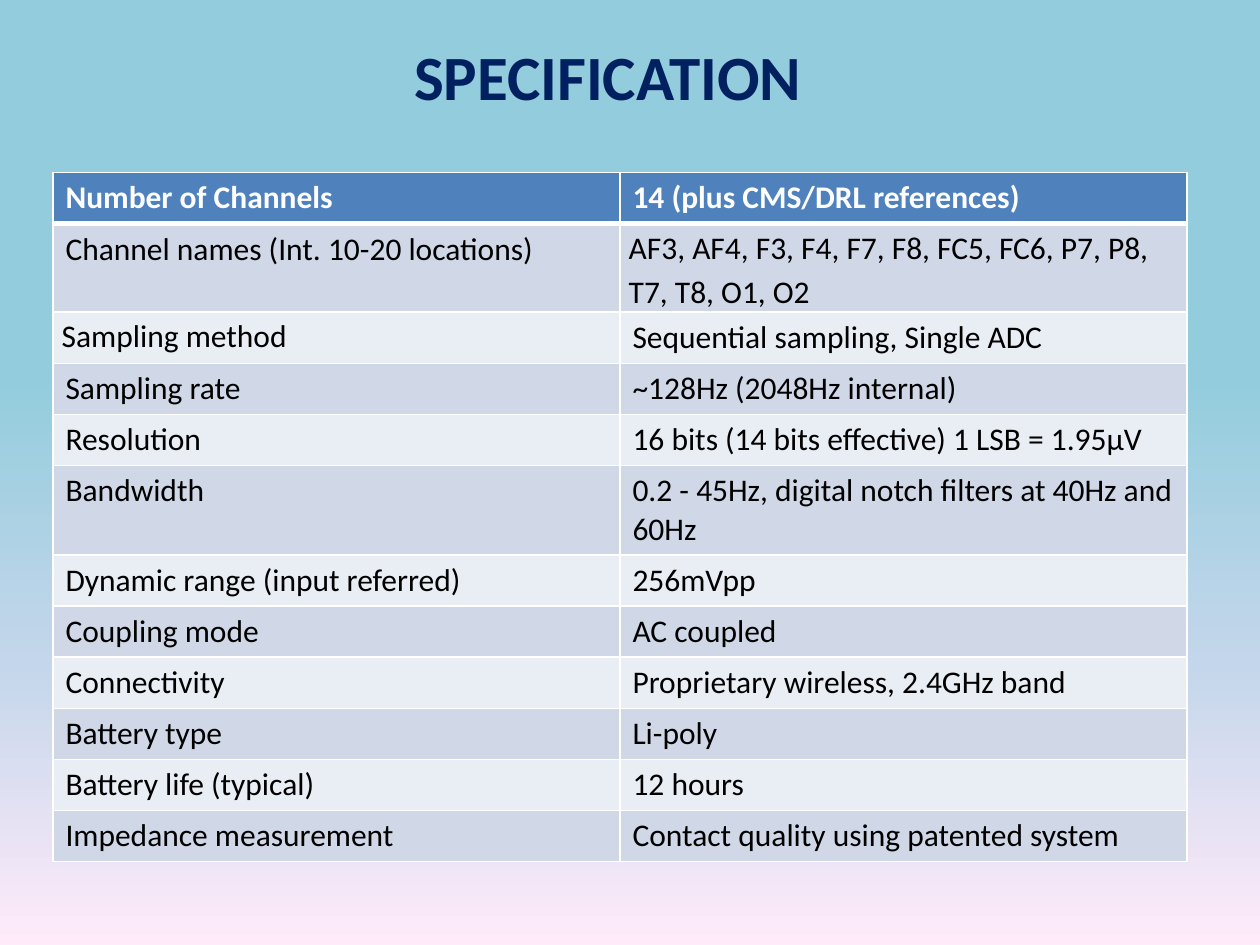
from dataclasses import dataclass
from typing import Any

from lxml.etree import SubElement
from pptx import Presentation
from pptx.dml.color import RGBColor as Rgb
from pptx.enum.text import MSO_AUTO_SIZE as AutoSize, PP_ALIGN as Align
from pptx.oxml.ns import qn
from pptx.util import Inches, Pt

COLORS = {
    "title": "002060",
    "header": "4F81BD",
    "band_dark": "D0D8E8",
    "band_light": "E9EDF4",
    "white": "FFFFFF",
    "black": "000000",
}
BACKGROUND_STOPS = [(40, "93CDDD"), (70, "C4D6EB"), (100, "FFEBFA")]

SPECIFICATIONS = [
    ("Number of Channels", "14 (plus CMS/DRL references)"),
    ("Channel names (Int. 10-20 locations)",
     "AF3, AF4, F3, F4, F7, F8, FC5, FC6, P7, P8, T7, T8, O1, O2"),
    ("Sampling method", "Sequential sampling, Single ADC"),
    ("Sampling rate", "~128Hz (2048Hz internal)"),
    ("Resolution", "16 bits (14 bits effective) 1 LSB = 1.95μV"),
    ("Bandwidth", "0.2 - 45Hz, digital notch filters at 40Hz and 60Hz"),
    ("Dynamic range (input referred)", "256mVpp"),
    ("Coupling mode", "AC coupled"),
    ("Connectivity", "Proprietary wireless, 2.4GHz band"),
    ("Battery type", "Li-poly"),
    ("Battery life (typical)", "12 hours"),
    ("Impedance measurement", "Contact quality using patented system"),
]
TIGHT_CELLS = {(1, 1), (2, 0)}
ROW_HEIGHT = 0.4
TALL_ROWS = {1: 0.7, 5: 0.71}


def write_text(frame, text, font="Calibri", size=18, color="black",
               bold=False, align=Align.LEFT, spacing=None):
    para = frame.paragraphs[0]
    para.alignment = align
    para.line_spacing = spacing
    span = para.add_run()
    span.text = text
    span.font.name = font
    span.font.size = Pt(size)
    span.font.bold = bold
    span.font.color.rgb = Rgb.from_string(COLORS[color])


def add_borders(cell, color, bottom_width):
    """Draw 1 pt edges, with a bottom edge of its own width."""
    properties = cell._tc.get_or_add_tcPr()
    widths = {"a:lnL": 1, "a:lnR": 1, "a:lnT": 1, "a:lnB": bottom_width}
    for index, (tag, width) in enumerate(widths.items()):
        line = SubElement(properties, qn(tag), w=str(Pt(width)))
        fill = SubElement(line, qn("a:solidFill"))
        SubElement(fill, qn("a:srgbClr"), val=COLORS[color])
        properties.insert(index, line)  # edges must come before the cell fill


@dataclass
class SlideBuilder:
    page: Any
    font: str = "Calibri"

    def gradient_background(self, stops):
        fill = self.page.background.fill
        fill.gradient()
        fill.gradient_angle = 270
        stop_list = next(self.page.element.iter(qn("a:gsLst")))
        for old_stop in list(stop_list):
            stop_list.remove(old_stop)
        for percent, color in stops:
            stop = SubElement(stop_list, qn("a:gs"), pos=str(percent * 1000))
            SubElement(stop, qn("a:srgbClr"), val=color)

    def title(self, text, left, top, width, height):
        box = self.page.shapes.add_textbox(
            Inches(left), Inches(top), Inches(width), Inches(height))
        frame = box.text_frame
        frame.word_wrap = False
        frame.auto_size = AutoSize.SHAPE_TO_FIT_TEXT
        write_text(frame, text, font=self.font, size=36, color="title",
                   bold=True, align=Align.CENTER)

    def table(self, rows, left, top, width):
        heights = [TALL_ROWS.get(index, ROW_HEIGHT) for index in range(len(rows))]
        table = self.page.shapes.add_table(
            len(rows), len(rows[0]), Inches(left), Inches(top),
            Inches(width), Inches(sum(heights))).table
        for row_index, values in enumerate(rows):
            table.rows[row_index].height = Inches(heights[row_index])
            for column_index, text in enumerate(values):
                self.cell(table.cell(row_index, column_index), text, row_index,
                          tight=(row_index, column_index) in TIGHT_CELLS)

    def cell(self, cell, text, row_index, tight):
        is_header = row_index == 0
        band = "band_dark" if row_index % 2 else "band_light"
        cell.fill.solid()
        cell.fill.fore_color.rgb = Rgb.from_string(
            COLORS["header" if is_header else band])
        if tight:
            cell.margin_left = cell.margin_right = Inches(0.07)
            cell.margin_top = cell.margin_bottom = 0
        write_text(cell.text_frame, text, font=self.font, bold=is_header,
                   color="white" if is_header else "black",
                   spacing=1.15 if tight else None)
        add_borders(cell, "white", bottom_width=3 if is_header else 1)


def main():
    deck = Presentation()
    deck.slide_width, deck.slide_height = Inches(10), Inches(7.5)
    builder = SlideBuilder(deck.slides.add_slide(deck.slide_layouts[6]))
    builder.gradient_background(BACKGROUND_STOPS)
    builder.table(SPECIFICATIONS, left=0.42, top=1.37, width=9)
    builder.title("SPECIFICATION", left=3.17, top=0.25, width=3.31, height=0.71)
    deck.save("out.pptx")


if __name__ == "__main__":
    main()
